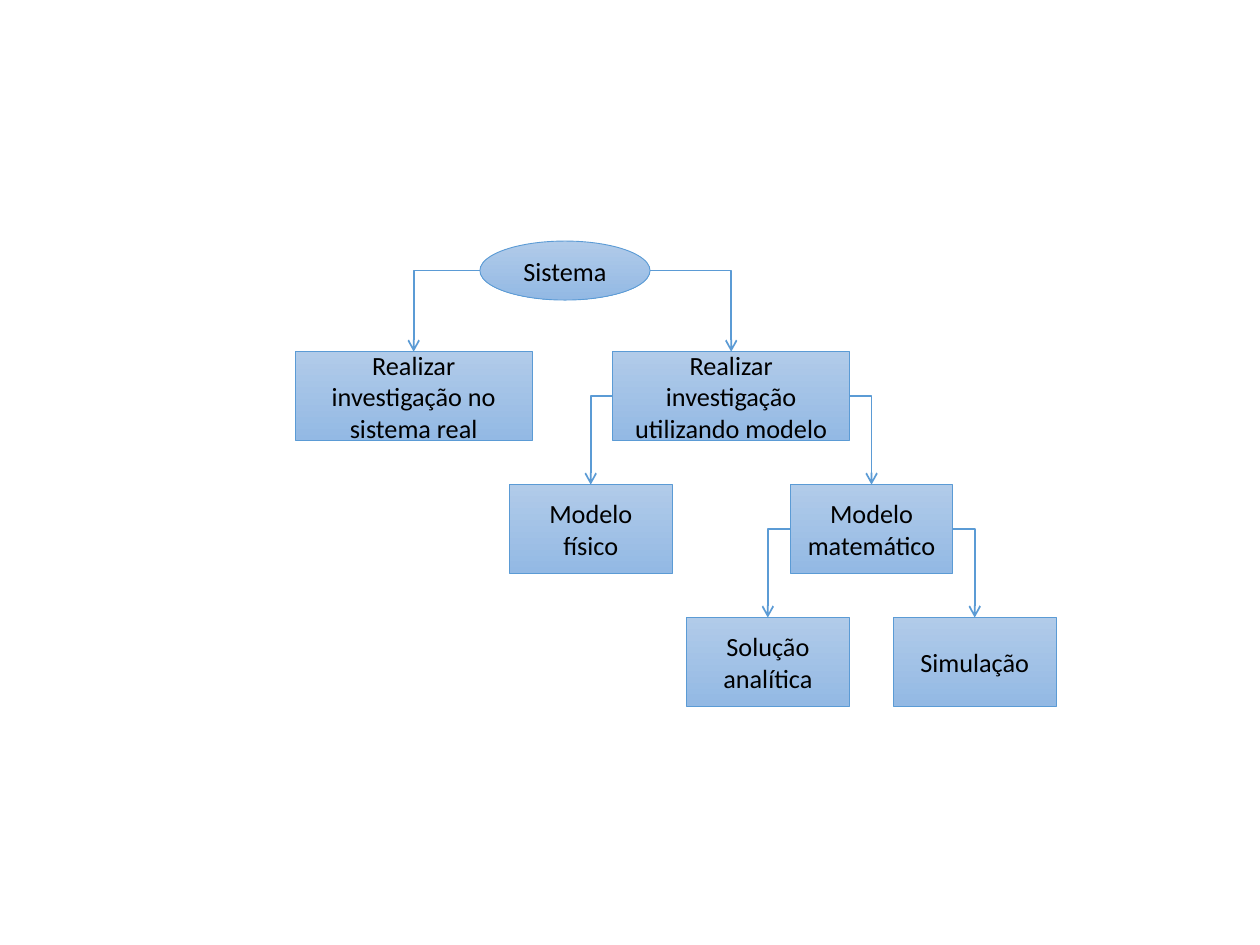
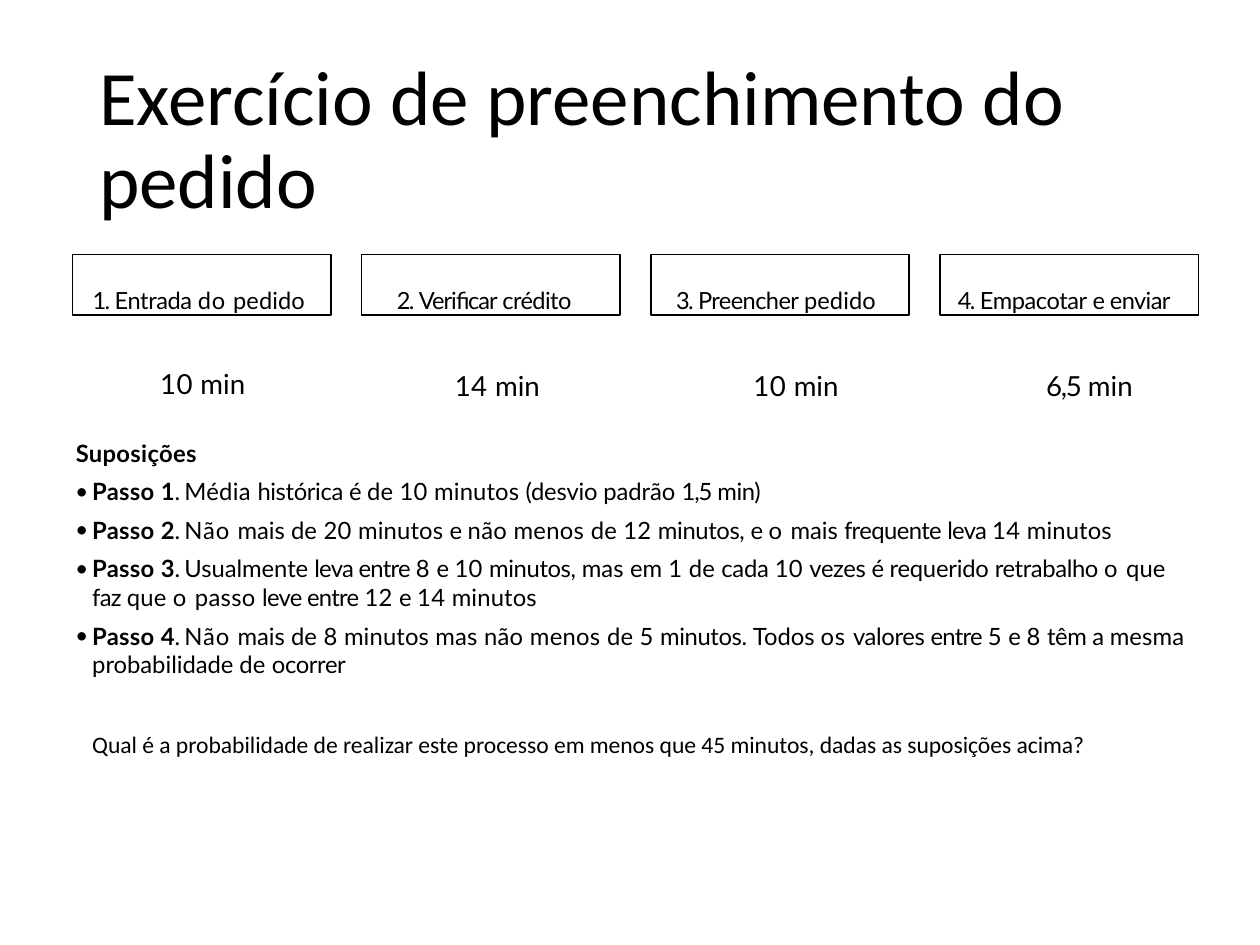
from dataclasses import dataclass

from lxml.etree import SubElement
from pptx import Presentation
from pptx.dml.color import RGBColor
from pptx.enum.shapes import MSO_CONNECTOR, MSO_SHAPE
from pptx.enum.text import MSO_ANCHOR, PP_ALIGN
from pptx.oxml.ns import qn
from pptx.util import Cm, Pt


@dataclass(frozen=True)
class Theme:
    ink: RGBColor = RGBColor.from_string("000000")
    edge: RGBColor = RGBColor.from_string("5B9BD5")
    light: RGBColor = RGBColor.from_string("B1CBE9")
    deep: RGBColor = RGBColor.from_string("93B9E4")
    main: str = "Calibri"
    body: str = "Lato"
    title: float = 44
    node: float = 15
    step: float = 13.5
    time: float = 15.8
    list: float = 13.6


THEME = Theme()

# Letter spacing in points, by word; other words have none
GROUPS = {
    -0.9: "1. 2. 3. 4.",
    -0.7: "6,5",
    -0.6: "1,5",
    -0.5: "Verificar",
    -0.4: "leva leve entre faz",
    -0.3: "é e frequente crédito Preencher enviar",
    -0.2: "histórica min) minutos, minutos. vezes retrabalho valores "
          "têm a ocorrer Entrada Empacotar",
    -0.1: "(desvio cada requerido",
    0.1: "de minutos mas que mesma pedido",
    0.2: "Suposições Média 1 5 8 10 12 14 20 não menos passo",
    0.5: "do os",
    0.6: "Não",
    0.7: "o",
}
TRACK = {word: gap for gap, words in GROUPS.items() for word in words.split()}

# Tree nodes: key -> (text, centre x, row, width)
NODES = {
    "real": ("Realizar investigação no sistema real", 8.34, 0, 4.78),
    "model": ("Realizar investigação utilizando modelo", 14.74, 0, 4.78),
    "phys": ("Modelo físico", 11.91, 1, 3.28),
    "math": ("Modelo matemático", 17.57, 1, 3.28),
    "solve": ("Solução analítica", 15.48, 2, 3.28),
    "sim": ("Simulação", 19.65, 2, 3.28),
}
# Each parent with its left and right child
FORKS = [("root", "real", "model"), ("model", "phys", "math"),
         ("math", "solve", "sim")]

# Steps: label, indent, time, left and top of the time
STEPS = [
    ("1. Entrada do pedido", 0.41, "10 min", 3.2, 7.37),
    ("2. Verificar crédito", 0.71, "14 min", 9.14, 7.41),
    ("3. Preencher pedido", 0.51, "10 min", 15.16, 7.41),
    ("4. Empacotar e enviar", 0.36, "6,5 min", 21.06, 7.41),
]
RULES = [
    "Média histórica é de 10 minutos (desvio padrão 1,5 min)",
    "Não mais de 20 minutos e não menos de 12 minutos, "
    "e o mais frequente leva 14 minutos",
    "Usualmente leva entre 8 e 10 minutos, mas em 1 de cada 10 vezes "
    "é requerido retrabalho o que faz que o passo leve entre 12 e 14 minutos",
    "Não mais de 8 minutos mas não menos de 5 minutos. Todos os valores "
    "entre 5 e 8 têm a mesma probabilidade de ocorrer",
]


# Text
def add_run(para, text, size, font, bold=False, gap=0):
    run = para.add_run()
    run.text = text
    run.font.size = Pt(size)
    run.font.name = font
    run.font.bold = bold
    run.font.color.rgb = THEME.ink
    if gap:
        run.font._element.set("spc", str(round(gap * 100)))


def add_words(para, text, size, bold=False):
    words = text.split()
    for spot, word in enumerate(words, 1):
        tail = " " if spot < len(words) else ""
        add_run(para, word + tail, size, THEME.body, bold, TRACK.get(word, 0))


def indent(para, left, first=0.0):
    props = para._p.get_or_add_pPr()
    props.set("marL", str(Cm(left)))
    props.set("indent", str(Cm(first)))
    return props


def set_frame(shape, top=None, anchor=MSO_ANCHOR.TOP):
    """Wrap the text; a given top inset clears the other three."""
    frame = shape.text_frame
    frame.word_wrap = True
    frame.vertical_anchor = anchor
    if top is not None:
        frame.margin_left = frame.margin_right = frame.margin_bottom = 0
        frame.margin_top = Cm(top)
    return frame


def add_text(slide, box, top=None, anchor=MSO_ANCHOR.TOP):
    return set_frame(slide.shapes.add_textbox(*map(Cm, box)), top, anchor)


# Shapes
def add_node(slide, kind, text, mid, top, width, height):
    node = slide.shapes.add_shape(
        kind, Cm(mid - width / 2), Cm(top), Cm(width), Cm(height))
    node.shadow.inherit = False
    node.fill.gradient()
    node.fill.gradient_angle = 270
    for stop, shade in zip(node.fill.gradient_stops, (THEME.light, THEME.deep)):
        stop.color.rgb = shade
    node.line.color.rgb = THEME.edge
    node.line.width = Pt(0.5)
    para = set_frame(node, anchor=MSO_ANCHOR.MIDDLE).paragraphs[0]
    para.alignment = PP_ALIGN.CENTER
    add_run(para, text, THEME.node, THEME.main)
    return node


def add_link(slide, start, end, right):
    """Go sideways from start, then down to the top of end."""
    link = slide.shapes.add_connector(
        MSO_CONNECTOR.ELBOW,
        start.left + start.width * right, start.top + start.height // 2,
        end.left + end.width // 2, end.top)
    link.line.color.rgb = THEME.edge
    link.line.width = Pt(1)
    root = link.element
    root.find(".//" + qn("a:prstGeom")).set("prst", "bentConnector2")
    SubElement(root.find(".//" + qn("a:ln")), qn("a:tailEnd"), type="arrow")
    SubElement(root.find(qn("p:spPr")), qn("a:effectLst"))
    # Glue both ends; an ellipse has eight sites, a box four
    is_oval = start.auto_shape_type == MSO_SHAPE.OVAL
    site = (2, 6)[right] if is_oval else (1, 3)[right]
    glue = root.find(".//" + qn("p:cNvCxnSpPr"))
    for tag, shape, spot in (("a:stCxn", start, site), ("a:endCxn", end, 0)):
        SubElement(glue, qn(tag), id=str(shape.shape_id), idx=str(spot))


def add_step(slide, left, label, inset):
    step = slide.shapes.add_shape(
        MSO_SHAPE.RECTANGLE, Cm(left), Cm(5.13), Cm(5.21), Cm(1.22))
    step.shadow.inherit = False
    step.fill.background()
    step.line.color.rgb = THEME.ink
    step.line.width = Pt(1)
    para = set_frame(step, top=0.63).paragraphs[0]
    para.alignment = PP_ALIGN.LEFT
    indent(para, inset)
    add_words(para, label, THEME.step)


def add_time(slide, text, left, top):
    para = add_text(slide, (left, top, 2.1, 0.71), top=0.03).paragraphs[0]
    para.space_before = Pt(0.8)
    indent(para, 0.03)
    add_words(para, text, THEME.time)


def add_rules(slide):
    frame = add_text(slide, (1.5, 8.61, 22.63, 5.13), top=0.23)
    head = frame.paragraphs[0]
    head.space_before = Pt(6.4)
    indent(head, 0.03)
    add_words(head, "Suposições", THEME.list, bold=True)
    for count, rule in enumerate(RULES, 1):
        para = frame.add_paragraph()
        para.space_before = Pt(5.7)
        props = indent(para, 0.36, -0.33)
        SubElement(props, qn("a:buFont"), typeface=THEME.main)
        SubElement(props, qn("a:buChar"), char="•")
        add_run(para, "Passo ", THEME.list, THEME.body, True, 0.2)
        add_run(para, str(count), THEME.list, THEME.body, True, -1.1)
        add_run(para, ". ", THEME.list, THEME.body, gap=-1.1)
        add_words(para, rule, THEME.list)


# Slides
def draw_tree(slide):
    nodes = {"root": add_node(
        slide, MSO_SHAPE.OVAL, "Sistema", 11.39, 4.86, 3.43, 1.19)}
    for key, (text, mid, row, width) in NODES.items():
        nodes[key] = add_node(slide, MSO_SHAPE.RECTANGLE, text, mid,
                              7.09 + 2.68 * row, width, 1.79)
    for start, *ends in FORKS:
        for right, end in enumerate(ends):
            add_link(slide, nodes[start], nodes[end], right)


def draw_task(slide):
    title = add_text(slide, (1.75, 1.02, 21.89, 3.68), anchor=MSO_ANCHOR.MIDDLE)
    title.paragraphs[0].line_spacing = 0.9
    add_run(title.paragraphs[0], "Exercício de preenchimento do pedido",
            THEME.title, THEME.main)
    for count, (label, inset, time, *place) in enumerate(STEPS):
        add_step(slide, 1.46 + 5.83 * count, label, inset)
        add_time(slide, time, *place)
    add_rules(slide)
    query = add_text(slide, (1.5, 14.59, 22.99, 1.42)).paragraphs[0]
    indent(query, 0.11)
    add_run(query, "Qual é a probabilidade de realizar este processo em menos "
            "que 45 minutos, dadas as suposições acima?",
            THEME.step, THEME.main)


def main():
    deck = Presentation()
    deck.slide_width, deck.slide_height = Cm(25.4), Cm(19.05)
    for draw in (draw_tree, draw_task):
        draw(deck.slides.add_slide(deck.slide_layouts[6]))
    deck.save("out.pptx")


if __name__ == "__main__":
    main()
